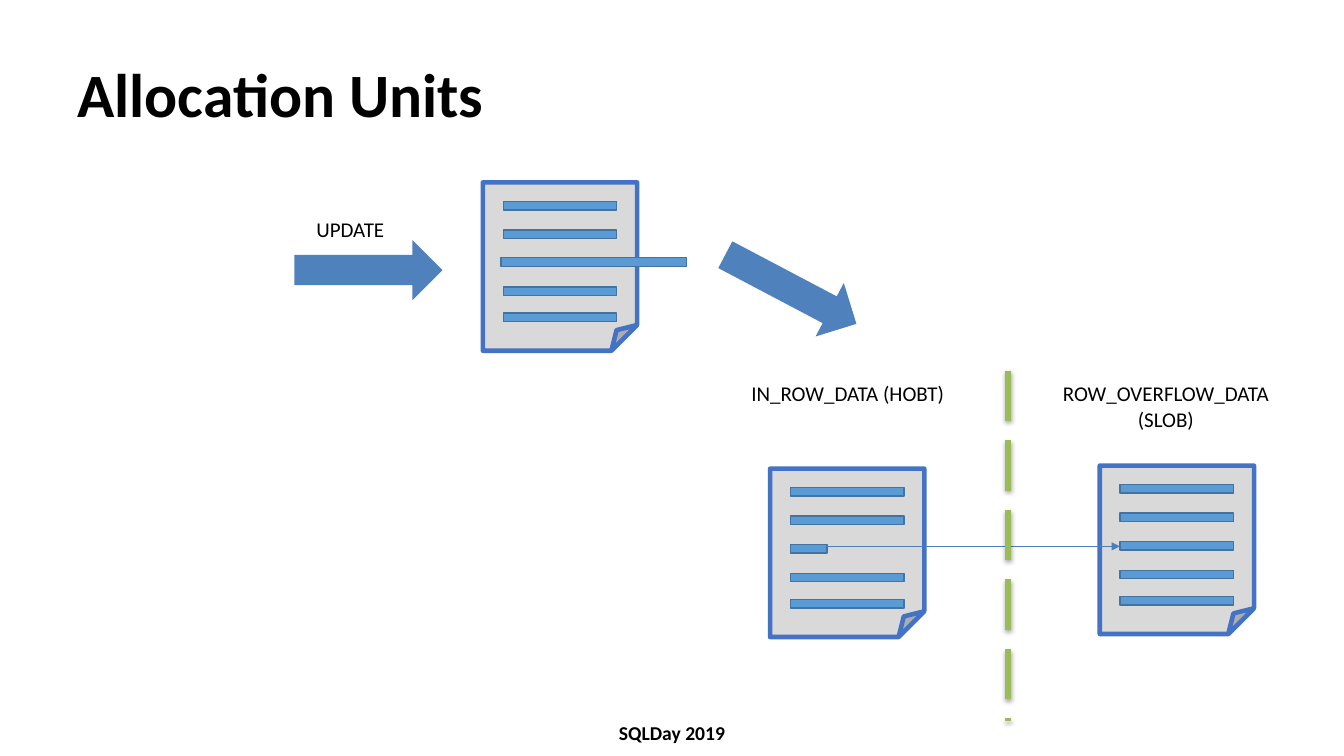
"""Build the slide on allocation units, with lengths in percent of the slide."""
from dataclasses import dataclass

from lxml.etree import SubElement as Sub
from pptx import Presentation
from pptx.dml.color import RGBColor
from pptx.enum.dml import MSO_LINE as Dash
from pptx.enum.shapes import MSO_CONNECTOR as Link, MSO_SHAPE as Kind
from pptx.enum.text import MSO_ANCHOR as Anchor, MSO_AUTO_SIZE as Fit, PP_ALIGN as Align
from pptx.oxml.ns import qn
from pptx.shapes.autoshape import Shape
from pptx.shapes.connector import Connector
from pptx.slide import Slide
from pptx.text.text import TextFrame
from pptx.util import Inches, Pt

WIDE, HIGH = Inches(13.333), Inches(7.5)
PAGE_W, PAGE_H = 11.48, 22.27
BAR_H, MID = 4.8, 2
BAR_TOPS = (0.67, 4.45, 8.2, 12, 15.47)


@dataclass
class Box:
    """A place on the slide, in percent of its width and height."""
    x: float
    y: float
    w: float
    h: float

    def place(self) -> tuple[int, int, int, int]:
        """Return the box in slide units."""
        return across(self.x), down(self.y), across(self.w), down(self.h)


@dataclass
class Page:
    """A data page; mid is its middle bar, measured from the page corner."""
    x: float
    y: float
    mid: Box


@dataclass
class Arrow:
    """A block arrow with its turn in degrees."""
    x: float
    y: float
    turn: float = 0


@dataclass
class Label:
    """A line of text in a box."""
    text: str
    box: Box
    size: int = 15
    bold: bool = False
    align: Align = Align.CENTER
    anchor: Anchor = Anchor.TOP


PAGES = (
    Page(35.93, 24.13, Box(-1.13, 7.87, 18.75, 5.33)),
    Page(57.3, 62, Box(1.05, BAR_TOPS[MID], 3.68, BAR_H)),
    Page(81.83, 61.6, Box(0, BAR_TOPS[MID], PAGE_W, BAR_H)),
)
ARROWS = (Arrow(21.9, 31.73), Arrow(53.33, 34.27, 27.8))
TITLE = Label("Allocation Units", Box(5, 4, 90, 16.67), 44, True, Align.LEFT, Anchor.MIDDLE)
LABELS = (
    Label("SQLDay 2019", Box(27.9, 94.13, 44.2, 5.6), 14, True, anchor=Anchor.MIDDLE),
    Label("UPDATE", Box(22.8, 28, 7.65, 4.67), align=Align.LEFT),
    Label("IN_ROW_DATA (HOBT)", Box(53.7, 49.73, 18.75, 4.67)),
    Label("ROW_OVERFLOW_DATA (SLOB)", Box(76.58, 49.73, 20.33, 8.13)),
)


def across(share: float) -> int:
    """Turn a share of the width into slide units."""
    return round(WIDE * share / 100)


def down(share: float) -> int:
    """Turn a share of the height into slide units."""
    return round(HIGH * share / 100)


def color(code: str) -> RGBColor:
    """Turn a hex string into a colour."""
    return RGBColor.from_string(code)


def draw_shape(shapes, kind: Kind, box: Box, fill: str, edge: str = "", width: float = 1) -> Shape:
    """Draw a filled shape, outlined if an edge colour is given."""
    shape = shapes.add_shape(kind, *box.place())
    shape.shadow.inherit = False
    shape.fill.solid()
    shape.fill.fore_color.rgb = color(fill)
    if edge:
        shape.line.color.rgb = color(edge)
        shape.line.width = Pt(width)
    else:
        shape.line.fill.background()
    return shape


def draw_page(slide: Slide, page: Page) -> None:
    """Draw a folded page with its bars as one group."""
    shapes = slide.shapes.add_group_shape().shapes
    draw_shape(shapes, Kind.FOLDED_CORNER, Box(page.x, page.y, PAGE_W, PAGE_H),
               "D9D9D9", "4472C4", 3.25)
    for row, top in enumerate(BAR_TOPS):
        bar = page.mid if row == MID else Box(0, top, PAGE_W, BAR_H)
        spot = Box(page.x + bar.x, page.y + bar.y, bar.w, bar.h)
        draw_shape(shapes, Kind.MATH_MINUS, spot, "5B9BD5", "43739E")


def draw_arrow(slide: Slide, arrow: Arrow) -> None:
    """Draw a block arrow."""
    box = Box(arrow.x, arrow.y, 11.03, 8)
    draw_shape(slide.shapes, Kind.RIGHT_ARROW, box, "4F81BD").rotation = arrow.turn


def draw_line(slide: Slide, box: Box, code: str, width: float) -> Connector:
    """Draw a straight line across a box, with an empty effect list."""
    x, y, w, h = box.place()
    line = slide.shapes.add_connector(Link.STRAIGHT, x, y, x + w, y + h)
    line.line.color.rgb = color(code)
    line.line.width = Pt(width)
    Sub(line.element.spPr, qn("a:effectLst"))
    return line


def draw_split(slide: Slide) -> None:
    """Draw the dashed, shadowed line between the two units."""
    line = draw_line(slide, Box(75, 49.07, 0, 46.27), "9BBB59", 4.5)
    line.line.dash_style = Dash.LONG_DASH
    glow = Sub(line.element.spPr.find(qn("a:effectLst")), qn("a:outerShdw"),
               blurRad=str(Pt(3.1)), dist=str(Pt(1.8)), dir="5400000", rotWithShape="0")
    tone = Sub(glow, qn("a:srgbClr"), val="000000")
    Sub(tone, qn("a:alpha"), val="35000")


def draw_link(slide: Slide) -> None:
    """Draw the pointer from the short bar to the overflow page."""
    line = draw_line(slide, Box(61.43, 72.27, 21.9, 0), "4B7EBC", 0.75)
    Sub(line.element.spPr.find(qn("a:ln")), qn("a:tailEnd"), type="triangle")


def write(frame: TextFrame, label: Label) -> None:
    """Write and format a label in a text frame."""
    frame.text = label.text
    frame.word_wrap = True
    frame.auto_size = Fit.NONE
    frame.vertical_anchor = label.anchor
    para = frame.paragraphs[0]
    para.alignment = label.align
    font = para.font
    font.name, font.size, font.bold = "Calibri", Pt(label.size), label.bold
    font.color.rgb = color("000000")


def main() -> None:
    """Build and save the slide."""
    deck = Presentation()
    deck.slide_width, deck.slide_height = WIDE, HIGH
    slide = deck.slides.add_slide(deck.slide_layouts[5])
    title = slide.shapes.title
    title.left, title.top, title.width, title.height = TITLE.box.place()
    write(title.text_frame, TITLE)
    for page in PAGES:
        draw_page(slide, page)
    for arrow in ARROWS:
        draw_arrow(slide, arrow)
    draw_link(slide)
    draw_split(slide)
    for label in LABELS:
        write(slide.shapes.add_textbox(*label.box.place()).text_frame, label)
    deck.save("out.pptx")


if __name__ == "__main__":
    main()
